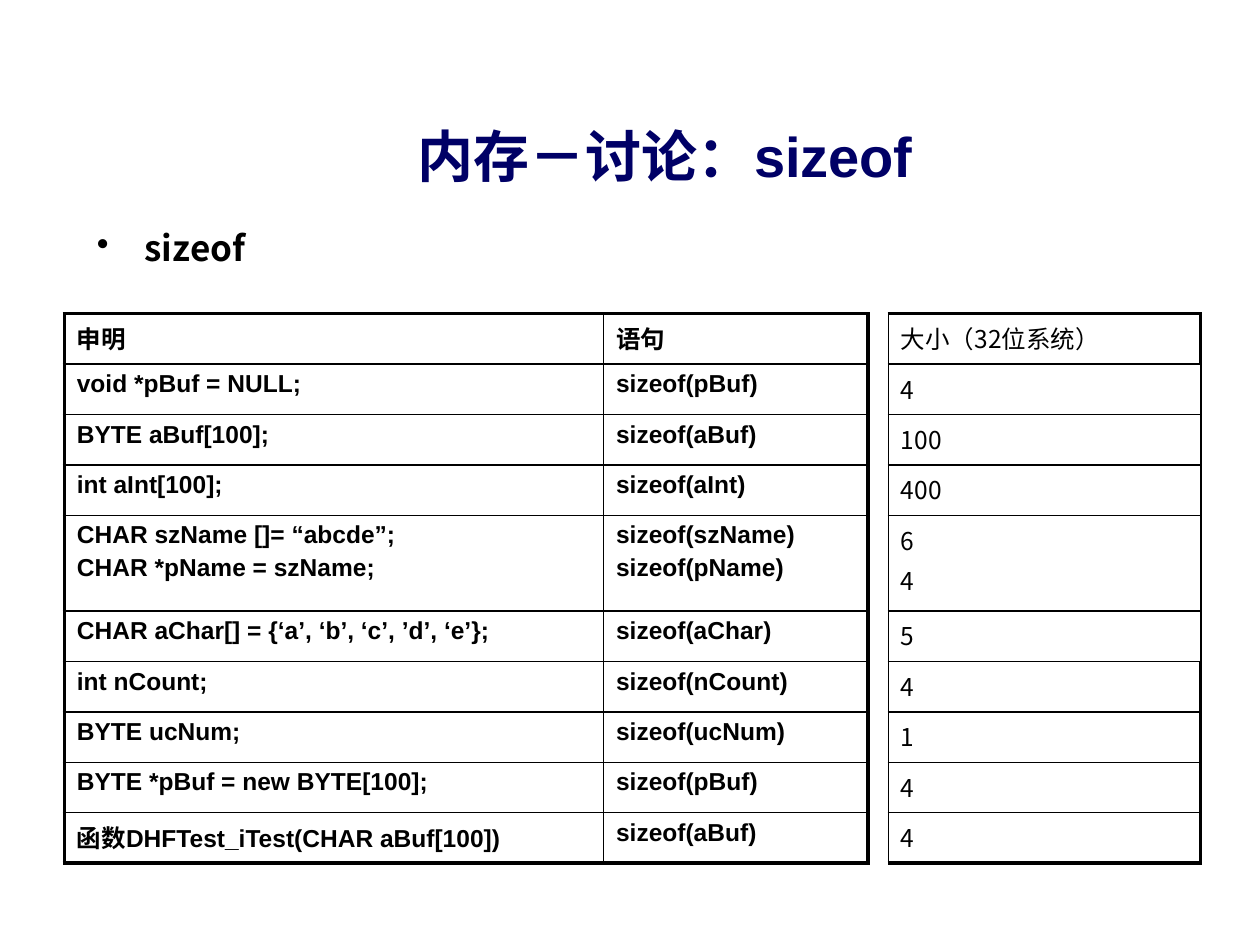
from dataclasses import dataclass
from typing import Any

from lxml import etree
from pptx import Presentation, util as u
from pptx.dml.color import RGBColor
from pptx.enum import text
from pptx.oxml.ns import qn

NAVY = RGBColor(0x00, 0x00, 0x66)
BLACK = RGBColor(0x00, 0x00, 0x00)
LATIN, CJK = "Arial", "Noto Sans CJK SC"
THIN, THICK = 1, 2.25
ROW_HEIGHTS = [0.4] * 4 + [0.76] + [0.4] * 5

CODE_ROWS = [
    ("申明", "语句"),
    ("void *pBuf = NULL;", "sizeof(pBuf)"),
    ("BYTE aBuf[100];", "sizeof(aBuf)"),
    ("int aInt[100];", "sizeof(aInt)"),
    ("CHAR szName []= “abcde”;\nCHAR *pName = szName;", "sizeof(szName)\nsizeof(pName)"),
    ("CHAR aChar[] = {‘a’, ‘b’, ‘c’, ’d’, ‘e’};", "sizeof(aChar)"),
    ("int nCount;", "sizeof(nCount)"),
    ("BYTE ucNum;", "sizeof(ucNum)"),
    ("BYTE *pBuf = new BYTE[100];", "sizeof(pBuf)"),
    ("函数DHFTest_iTest(CHAR aBuf[100])", "sizeof(aBuf)"),
]
SIZE_ROWS = [(size,) for size in
             ("大小（32位系统）", "4", "100", "400", "6\n4", "5", "4", "1", "4", "4")]


@dataclass
class SlideBuilder:
    page: Any
    cell_size: float = 14
    cell_gap: float = 2.8

    def style(self, para, size, name, color, bold):
        font = para.font
        font.size, font.name, font.bold = u.Pt(size), name, bold
        font.color.rgb = color

    def text_box(self, place, words, size, name, color, centred=False, bullet=None):
        box = self.page.shapes.add_textbox(*map(u.Inches, place))
        frame = box.text_frame
        frame.word_wrap = True
        para = frame.paragraphs[0]
        para.text = words
        if centred:
            frame.vertical_anchor = text.MSO_ANCHOR.MIDDLE
            para.alignment = text.PP_ALIGN.CENTER
        if bullet:
            props = para._p.get_or_add_pPr()
            indent = u.Inches(0.38)
            props.set("marL", str(indent))
            props.set("indent", str(-indent))
            etree.SubElement(props, qn("a:buChar")).set("char", bullet)
        self.style(para, size, name, color, True)

    def borders(self, cell, widths):
        props = cell._tc.get_or_add_tcPr()
        for index, (side, width) in enumerate(zip("LRTB", widths)):
            line = etree.Element(qn(f"a:ln{side}"), w=str(u.Pt(width)))
            fill = etree.SubElement(line, qn("a:solidFill"))
            etree.SubElement(fill, qn("a:srgbClr")).set("val", str(BLACK))
            props.insert(index, line)

    def table(self, left, top, columns, rows, name, bold, left_edge, thin_right=()):
        """Draw a grid with a heavy frame; thin_right lists rows with a light right edge."""
        frame = self.page.shapes.add_table(
            len(rows), len(columns), u.Inches(left), u.Inches(top),
            u.Inches(sum(columns)), u.Inches(sum(ROW_HEIGHTS)))
        table = frame.table
        table.first_row = table.horz_banding = False
        for column, width in zip(table.columns, columns):
            column.width = u.Inches(width)
        last_row, last_column = len(rows) - 1, len(columns) - 1
        for r, (values, height) in enumerate(zip(rows, ROW_HEIGHTS)):
            table.rows[r].height = u.Inches(height)
            for c, value in enumerate(values):
                cell = table.cell(r, c)
                cell.fill.background()
                cell.text_frame.text = value
                for index, para in enumerate(cell.text_frame.paragraphs):
                    if index:
                        para.space_before = u.Pt(self.cell_gap)
                    self.style(para, self.cell_size, name, BLACK, bold)
                heavy_right = c == last_column and r not in thin_right
                self.borders(cell, (
                    left_edge if c == 0 else THIN,
                    THICK if heavy_right else THIN,
                    THICK if r == 0 else THIN,
                    THICK if r == last_row else THIN))


def main():
    deck = Presentation()
    deck.slide_width, deck.slide_height = u.Inches(10), u.Inches(7.5)
    builder = SlideBuilder(deck.slides.add_slide(deck.slide_layouts[6]))

    # Title and topic
    builder.text_box((1.06, 0.91, 8.44, 0.64), "内存－讨论：sizeof", 32, LATIN, NAVY,
                     centred=True)
    builder.text_box((0.67, 1.75, 4.33, 4.95), "sizeof", 20, CJK, BLACK, bullet="•")

    # Declarations and statements, with their sizes alongside
    builder.table(0.51, 2.49, [4.28, 2.1], CODE_ROWS, LATIN, True, THICK)
    builder.table(7.05, 2.49, [2.48], SIZE_ROWS, CJK, False, THIN, thin_right=range(1, 6))

    deck.save("out.pptx")


if __name__ == "__main__":
    main()
